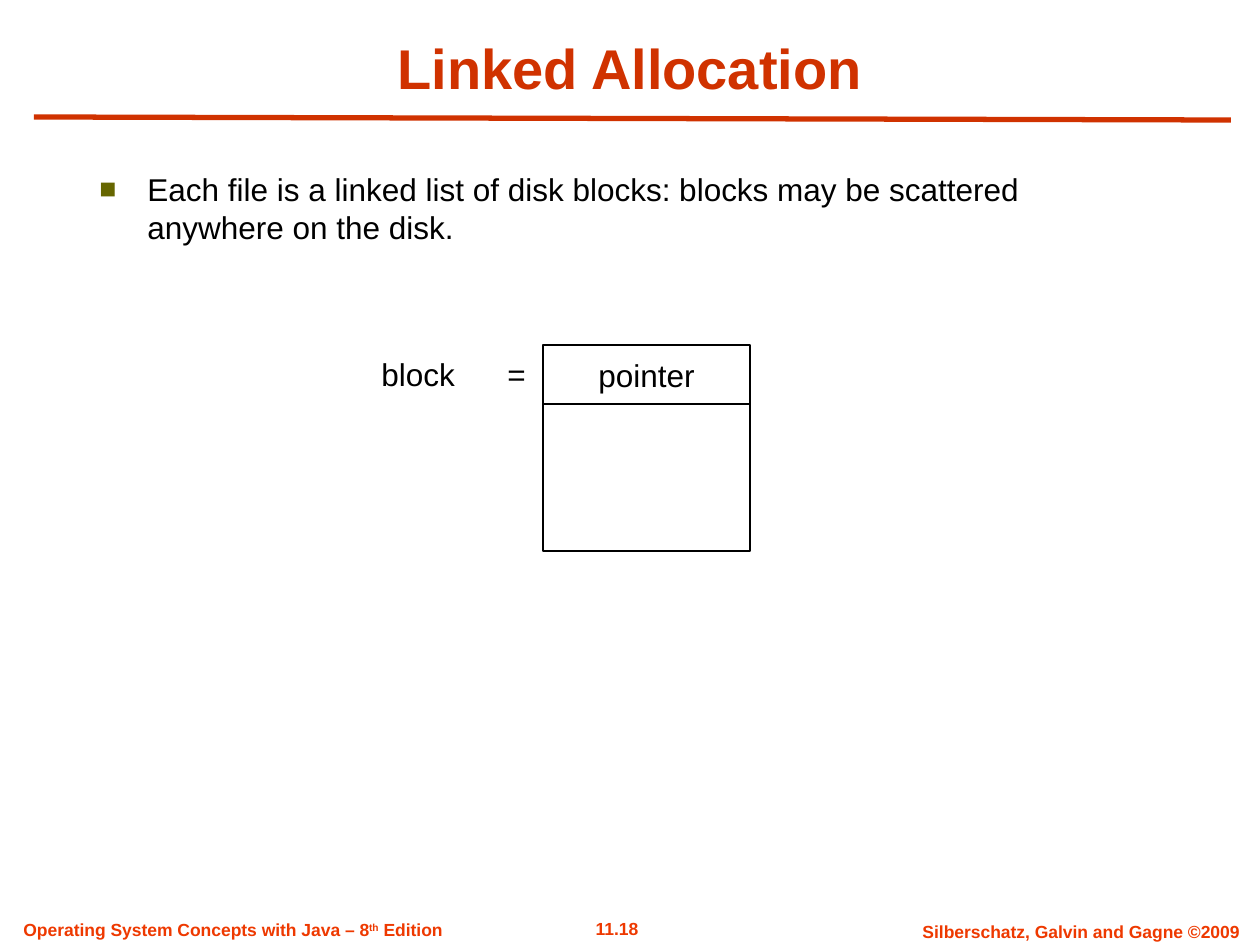
from lxml.etree import SubElement
from pptx import Presentation
from pptx.dml.color import RGBColor
from pptx.enum.shapes import MSO_CONNECTOR as Connector, MSO_SHAPE as Shape
from pptx.enum.text import MSO_ANCHOR as Anchor, PP_ALIGN as Align
from pptx.oxml.ns import qn
from pptx.util import Emu, Pt

PX = 914400 // 126
COLORS = {"heading": "D03200", "footer": "EE3900", "bullet": "666600",
          "ink": "000000", "paper": "FFFFFF"}

TITLE = "Linked Allocation"
BODY = "Each file is a linked list of disk blocks: blocks may be scattered anywhere on the disk."
BLOCK_LABEL = "block\t="
BLOCK_PARTS = [("pointer", 59), ("", 147)]
BLOCK_LEFT, BLOCK_TOP, BLOCK_WIDTH = 543, 345, 207
FOOTERS = [
    ([("11.18", False)], (550, 912, 134, 34), Align.CENTER),
    ([("Silberschatz, Galvin and Gagne ©2009", False)], (894, 915, 374, 34), Align.CENTER),
    ([("Operating System Concepts with Java – 8", False), ("th", True), (" Edition", False)],
     (11, 913, 480, 34), Align.LEFT),
]


def px(value):
    return Emu(value * PX)


def color(name):
    return RGBColor.from_string(COLORS[name])


def write(shape, runs, size, ink, align=Align.LEFT, anchor=Anchor.TOP, bold=False, before=0):
    frame = shape.text_frame
    frame.word_wrap = True
    frame.vertical_anchor = anchor
    paragraph = frame.paragraphs[0]
    paragraph.alignment = align
    paragraph.space_before = Pt(before)
    font = paragraph.font
    font.name, font.size, font.bold = "Arial", Pt(size), bold
    font.color.rgb = color(ink)
    for text, raised in runs:
        run = paragraph.add_run()
        run.text = text
        if raised:
            run.font._element.set("baseline", "30000")
    return paragraph


def add_text(slide, box, runs, *style, **options):
    shape = slide.shapes.add_textbox(*map(px, box))
    return write(shape, runs, *style, **options)


def add_bullet(paragraph, indent):
    properties = paragraph._p.get_or_add_pPr()
    properties.set("marL", str(px(indent)))
    properties.set("indent", str(-px(indent)))
    bullet_color = SubElement(properties, qn("a:buClr"))
    SubElement(bullet_color, qn("a:srgbClr"), val=COLORS["bullet"])
    SubElement(properties, qn("a:buSzPct"), val="90000")
    SubElement(properties, qn("a:buFont"), typeface="Arial")
    SubElement(properties, qn("a:buChar"), char="■")
    properties.append(properties.find(qn("a:defRPr")))


def add_tab_stop(paragraph, position):
    properties = paragraph._p.get_or_add_pPr()
    stops = SubElement(properties, qn("a:tabLst"))
    SubElement(stops, qn("a:tab"), pos=str(px(position)), algn="l")
    properties.append(properties.find(qn("a:defRPr")))


def add_rule(slide):
    rule = slide.shapes.add_connector(Connector.STRAIGHT, px(34), px(117), px(1231), px(120))
    rule.line.color.rgb = color("heading")
    rule.line.width = Pt(3)
    SubElement(rule._element.spPr, qn("a:effectLst"))


def add_block(slide):
    top = BLOCK_TOP
    for text, height in BLOCK_PARTS:
        part = slide.shapes.add_shape(Shape.RECTANGLE, px(BLOCK_LEFT), px(top),
                                      px(BLOCK_WIDTH), px(height))
        part.shadow.inherit = False
        part.fill.solid()
        part.fill.fore_color.rgb = color("paper")
        part.line.color.rgb = color("ink")
        part.line.width = Pt(0.75)
        if text:
            write(part, [(text, False)], 18, "ink", Align.CENTER, Anchor.MIDDLE)
        top += height
    label = add_text(slide, (369, 349, 190, 50), [(BLOCK_LABEL, False)], 18, "ink",
                     anchor=Anchor.MIDDLE, before=11.2)
    add_tab_stop(label, 126)


def main():
    presentation = Presentation()
    presentation.slide_width, presentation.slide_height = px(1260), px(945)
    slide = presentation.slides.add_slide(presentation.slide_layouts[6])
    for runs, box, align in FOOTERS:
        add_text(slide, box, runs, 10, "footer", align, bold=True, before=6.2)
    add_rule(slide)
    add_text(slide, (63, 28, 1134, 79), [(TITLE, False)], 32, "heading",
             Align.CENTER, Anchor.BOTTOM, bold=True)
    body = add_text(slide, (87, 164, 1066, 103), [(BODY, False)], 18, "ink", before=7.9)
    add_bullet(body, 48)
    add_block(slide)
    presentation.save("out.pptx")


if __name__ == "__main__":
    main()
